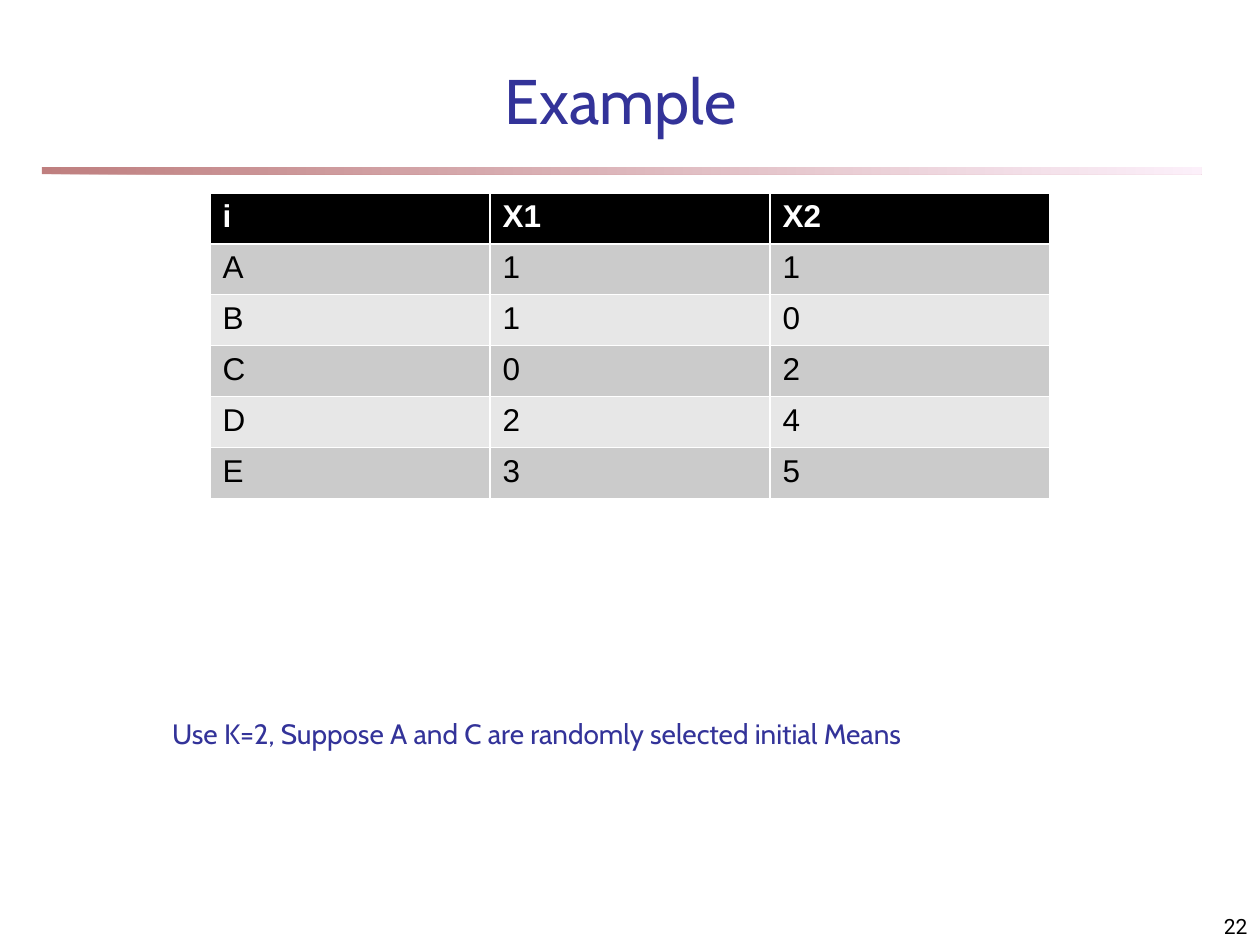
"""Build the example slide with its data table and starting means."""
import lxml.etree
import pptx
import pptx.util
import pptx.dml.color
import pptx.enum.shapes
import pptx.enum.text
import pptx.oxml.ns

Pt = pptx.util.Pt
RGB = pptx.dml.color.RGBColor
ALIGN = pptx.enum.text.PP_ALIGN
ANCHOR = pptx.enum.text.MSO_ANCHOR
BLACK = RGB(0, 0, 0)
WHITE = RGB(255, 255, 255)
NAVY = RGB(0x33, 0x33, 0x99)
MAROON = RGB(0x80, 0, 0)
PINK = RGB(0xFA, 0xE2, 0xF6)
DARK = RGB(0xCB, 0xCB, 0xCB)
LIGHT = RGB(0xE7, 0xE7, 0xE7)


def put(frame, text, size, font="Cabin", color=NAVY, bold=False, align=ALIGN.CENTER):
    frame.word_wrap = True
    par = frame.paragraphs[0]
    par.alignment = align
    run = par.add_run()
    run.text = text
    run.font.size = Pt(size)
    run.font.name = font
    run.font.color.rgb = color
    run.font.bold = bold


deck = pptx.Presentation()
deck.slide_width, deck.slide_height = Pt(720), Pt(540)
slide = deck.slides.add_slide(deck.slide_layouts[5])
shapes = slide.shapes

title = shapes.title
title.left, title.top, title.width, title.height = Pt(48), Pt(30), Pt(613.5), Pt(48.5)
frame = title.text_frame
frame.margin_left = frame.margin_right = frame.margin_top = frame.margin_bottom = 0
frame.vertical_anchor = ANCHOR.BOTTOM
frame.auto_size = pptx.enum.text.MSO_AUTO_SIZE.NONE
put(frame, "Example", 36)

bar = shapes.add_shape(
    pptx.enum.shapes.MSO_SHAPE.RECTANGLE, Pt(24), Pt(95.5), Pt(662.5), Pt(4))
bar.shadow.inherit = False
bar.line.fill.background()
bar.fill.gradient()
bar.fill.gradient_angle = 0
for stop, color in zip(bar.fill.gradient_stops, (MAROON, PINK)):
    stop.color.rgb = color
for node in bar.element.spPr.findall(".//" + pptx.oxml.ns.qn("a:srgbClr")):
    lxml.etree.SubElement(node, pptx.oxml.ns.qn("a:alpha"), val="50000")

rows = [("i", "X1", "X2"), ("A", "1", "1"), ("B", "1", "0"),
        ("C", "0", "2"), ("D", "2", "4"), ("E", "3", "5")]
table = shapes.add_table(
    len(rows), 3, Pt(120), Pt(110.25), Pt(480), Pt(174.6)).table
for r, row in enumerate(rows):
    table.rows[r].height = Pt(29.1)
    head = r == 0
    shade = BLACK if head else DARK if r % 2 else LIGHT
    for c, text in enumerate(row):
        cell = table.cell(r, c)
        cell.fill.solid()
        cell.fill.fore_color.rgb = shade
        put(cell.text_frame, text, 18, font="Arial", bold=head,
            color=WHITE if head else BLACK, align=ALIGN.LEFT)

note = shapes.add_textbox(0, Pt(384), Pt(613.5), Pt(48)).text_frame
note.vertical_anchor = ANCHOR.BOTTOM
put(note, "Use K=2, Suppose A and C are randomly selected initial Means", 16)

page = shapes.add_textbox(Pt(570), Pt(510), Pt(150), Pt(30)).text_frame
page.vertical_anchor = ANCHOR.BOTTOM
put(page, "22", 12, font="Roboto", color=BLACK, align=ALIGN.RIGHT)

deck.save("out.pptx")
